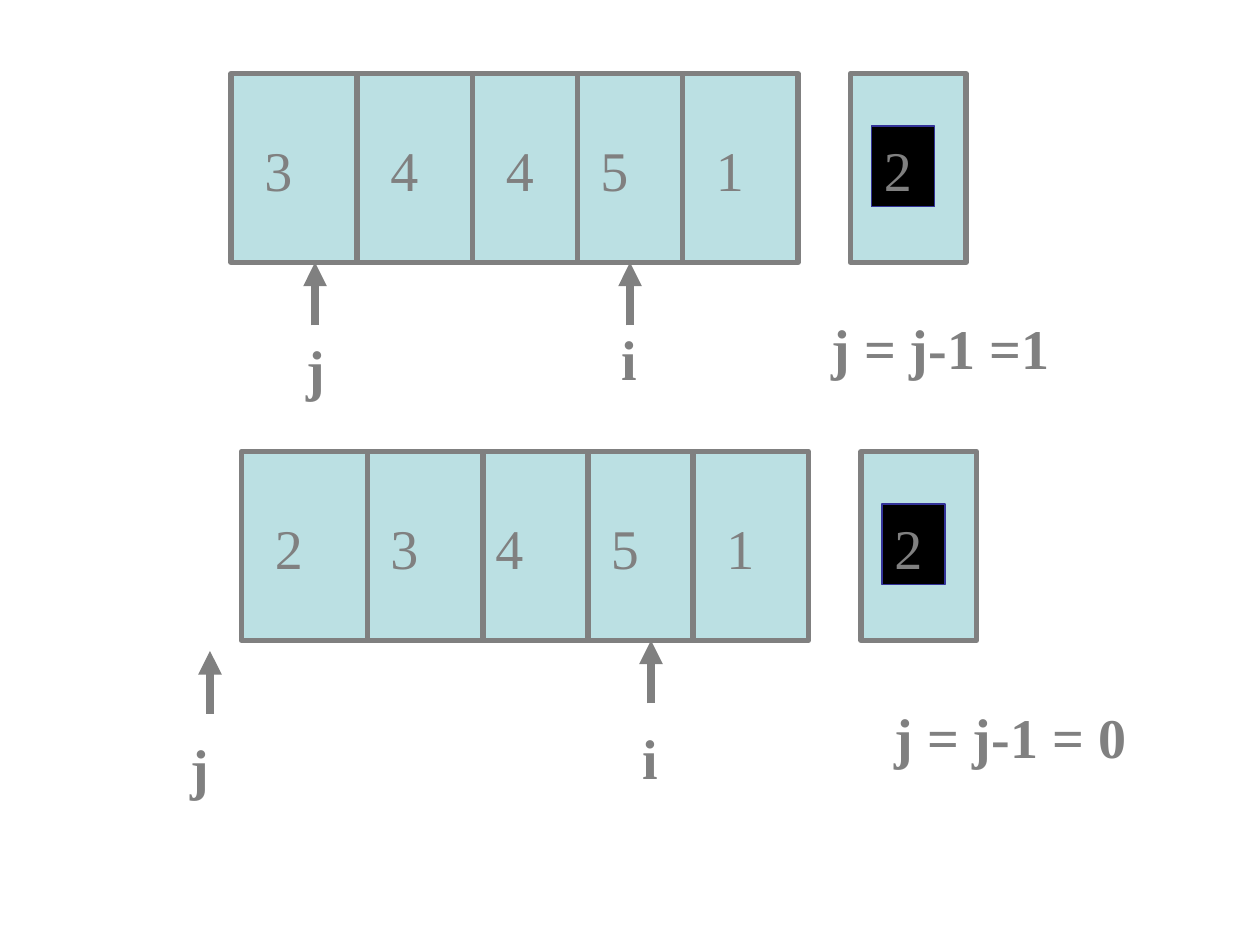
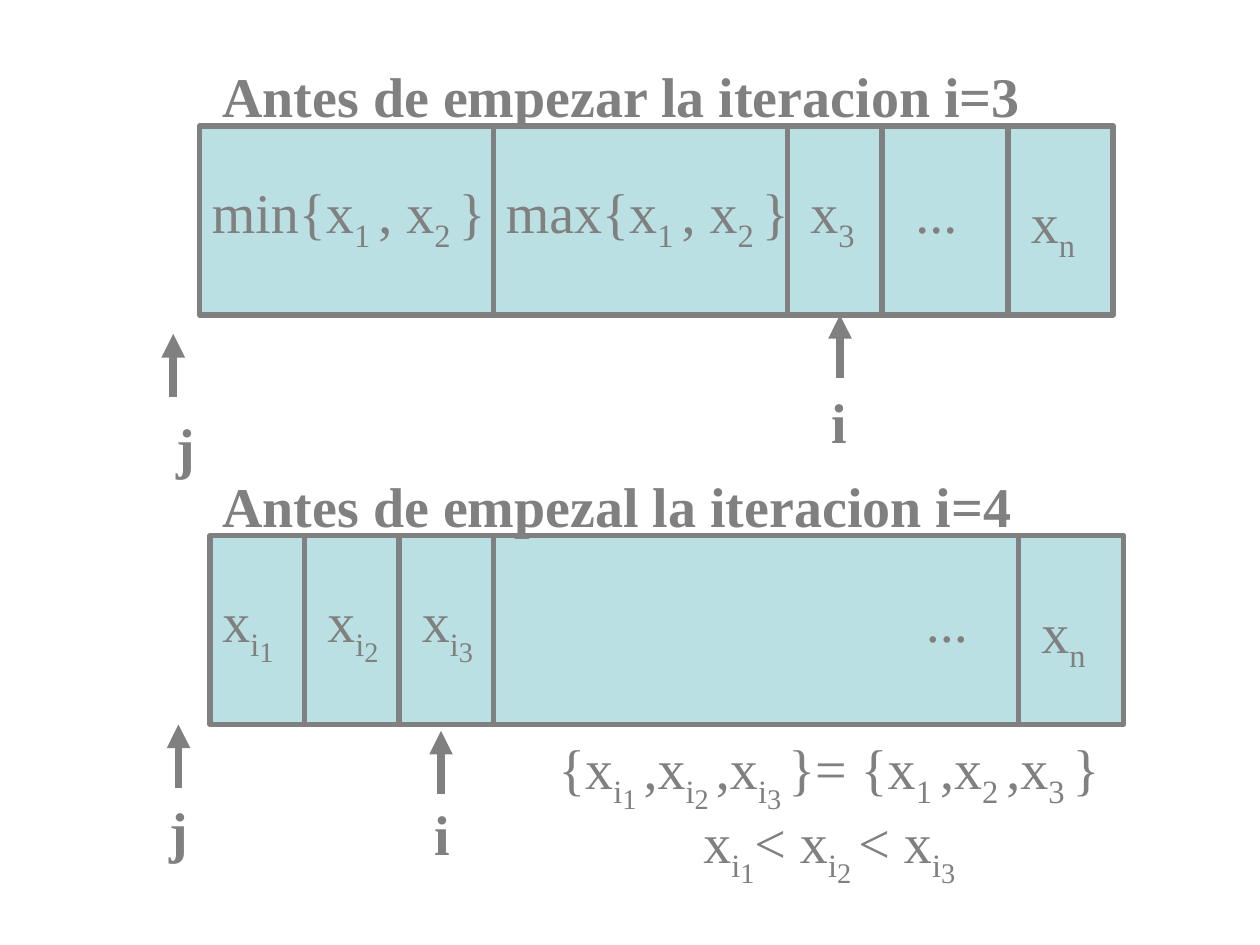
from itertools import accumulate

from lxml import etree
from pptx import Presentation
from pptx import util as u
from pptx.dml.color import RGBColor
from pptx.enum import shapes, text
from pptx.oxml import ns

PX = 7620
GRAY = RGBColor(0x80, 0x80, 0x80)
TEAL = RGBColor(0xBB, 0xE0, 0xE3)
BLACK = RGBColor(0, 0, 0)
INDIGO = RGBColor(0x33, 0x33, 0x99)
FONT = "Times New Roman"

BASE, SUB, SUBSUB = range(3)
SIZES = (32, 32, 28)
BASELINES = (0, -25000, -40000)
TEXT_HEIGHTS = (77, 85, 90)

ROW_HEIGHT = 180
KEY_WIDTH = 110
ARROW_LENGTH = 60


def plain(words):
    return [(words, BASE)]


def x(index, before="", after=""):
    return [(before + "x", BASE), (index + after, SUB)]


def xi(index, before="", after=""):
    return [(before + "x", BASE), ("i", SUB), (index + after, SUBSUB)]


def pair(name):
    return x("1", name + "{", " ") + x("2", ", ", " ") + plain("}")


INSERTED_SET = (xi("1", "{", " ") + xi("2", ",", " ") + xi("3", ",", " ")
                + x("1", "}= {", " ") + x("2", ",", " ") + x("3", ",", " ") + plain("}"))
SORTED_ORDER = xi("1") + xi("2", "< ", " ") + xi("3", "< ")

# Cells: width, text offset (across, down), text width, content.
# Pointers: name, arrow tip, label corner. Notes: corner, width, content, bold, wrap.
SLIDES = [
    {
        "rows": [
            (220, 70, [(120, 20, 50, 90, plain("3")), (110, 20, 50, 90, plain("4")),
                       (100, 20, 50, 90, plain("4")), (100, 10, 50, 90, plain("5")),
                       (110, 20, 50, 90, plain("1"))]),
            (230, 430, [(120, 20, 50, 90, plain("2")), (110, 10, 50, 90, plain("3")),
                        (100, 0, 50, 90, plain("4")), (100, 10, 50, 90, plain("5")),
                        (110, 20, 50, 90, plain("1"))]),
        ],
        "keys": [(810, 70, "2"), (820, 430, "2")],
        "pointers": [("j", 300, 250, 280, 310), ("i", 600, 250, 580, 300),
                     ("j", 200, 620, 170, 690), ("i", 620, 610, 600, 680)],
        "notes": [(780, 290, 232, plain("j = j-1 =1"), True, False),
                  (840, 660, 245, plain("j = j-1 = 0"), True, False)],
    },
    {
        "rows": [
            (190, 120, [(280, 0, 40, 290, pair("min")), (280, 0, 40, 300, pair("max")),
                        (90, 10, 40, 90, x("3")), (120, 20, 40, 90, plain("...")),
                        (100, 10, 50, 90, x("n"))]),
            (200, 510, [(90, 0, 40, 80, xi("1")), (90, 10, 40, 80, xi("2")),
                        (90, 10, 40, 80, xi("3")), (500, 400, 40, 90, plain("...")),
                        (100, 10, 50, 90, x("n"))]),
        ],
        "keys": [],
        "pointers": [("j", 165, 318, 156, 384), ("i", 800, 300, 780, 360),
                     ("j", 170, 690, 150, 750), ("i", 420, 696, 402, 752)],
        "notes": [(200, 50, 870, plain("Antes de empezar la iteracion i=3"), True, True),
                  (200, 440, 870, plain("Antes de empezal la iteracion i=4"), True, True),
                  (520, 690, 680, INSERTED_SET, False, True),
                  (658, 760, 264, SORTED_ORDER, False, False)],
    },
]


def px(*lengths):
    return [u.Emu(length * PX) for length in lengths]


def write(shape, content, bold=False, wrap=True):
    frame = shape.text_frame
    frame.word_wrap = wrap
    frame.vertical_anchor = text.MSO_ANCHOR.TOP
    frame.margin_left, frame.margin_top, frame.margin_right, frame.margin_bottom = px(12, 9, 12, 6)
    para = frame.paragraphs[0]
    para.alignment = text.PP_ALIGN.LEFT
    for words, level in content:
        span = para.add_run()
        span.text = words
        span.font.name = FONT
        span.font.size = u.Pt(SIZES[level])
        span.font.bold = bold
        span.font.color.rgb = GRAY
        if level != BASE:
            span.font._element.set("baseline", str(BASELINES[level]))


def add_text(page, left, top, width, content, bold=False, wrap=True):
    height = TEXT_HEIGHTS[max(level for _, level in content)]
    box = page.shapes.add_textbox(*px(left, top, width, height))
    write(box, content, bold, wrap)


def add_box(page, left, top, width, height, fill=TEAL, outline=GRAY, weight=3):
    box = page.shapes.add_shape(shapes.MSO_SHAPE.RECTANGLE, *px(left, top, width, height))
    box.shadow.inherit = False
    box.fill.solid()
    box.fill.fore_color.rgb = fill
    box.line.color.rgb = outline
    box.line.width = u.Pt(weight)
    return box


def add_line(page, across, start, end, weight=3, arrow=False):
    line = page.shapes.add_connector(shapes.MSO_CONNECTOR.STRAIGHT, *px(across, start, across, end))
    line.line.color.rgb = GRAY
    line.line.width = u.Pt(weight)
    if arrow:
        etree.SubElement(line.line._get_or_add_ln(), ns.qn("a:tailEnd"), type="triangle")
    etree.SubElement(line._element.spPr, ns.qn("a:effectLst"))


def add_row(page, left, top, cells):
    edges = list(accumulate((cell[0] for cell in cells), initial=left))
    add_box(page, left, top, edges[-1] - left, ROW_HEIGHT)
    for divider in edges[1:-1]:
        add_line(page, divider, top, top + ROW_HEIGHT)
    for edge, (_, across, down, width, content) in zip(edges, cells):
        add_text(page, edge + across, top + down, width, content)


def add_key(page, left, top, value):
    add_box(page, left, top, KEY_WIDTH, ROW_HEIGHT)
    core = add_box(page, left + 20, top + 50, 60, TEXT_HEIGHTS[BASE], BLACK, INDIGO, 0.75)
    write(core, plain(value))


def add_pointer(page, name, across, tip, label_left, label_top):
    add_line(page, across, tip + ARROW_LENGTH, tip, 4.5, arrow=True)
    add_text(page, label_left, label_top, 50, plain(name), bold=True)


def main():
    deck = Presentation()
    deck.slide_width, deck.slide_height = px(1200, 900)
    for content in SLIDES:
        page = deck.slides.add_slide(deck.slide_layouts[6])
        for row in content["rows"]:
            add_row(page, *row)
        for key in content["keys"]:
            add_key(page, *key)
        for pointer in content["pointers"]:
            add_pointer(page, *pointer)
        for note in content["notes"]:
            add_text(page, *note)
    deck.save("out.pptx")


if __name__ == "__main__":
    main()
